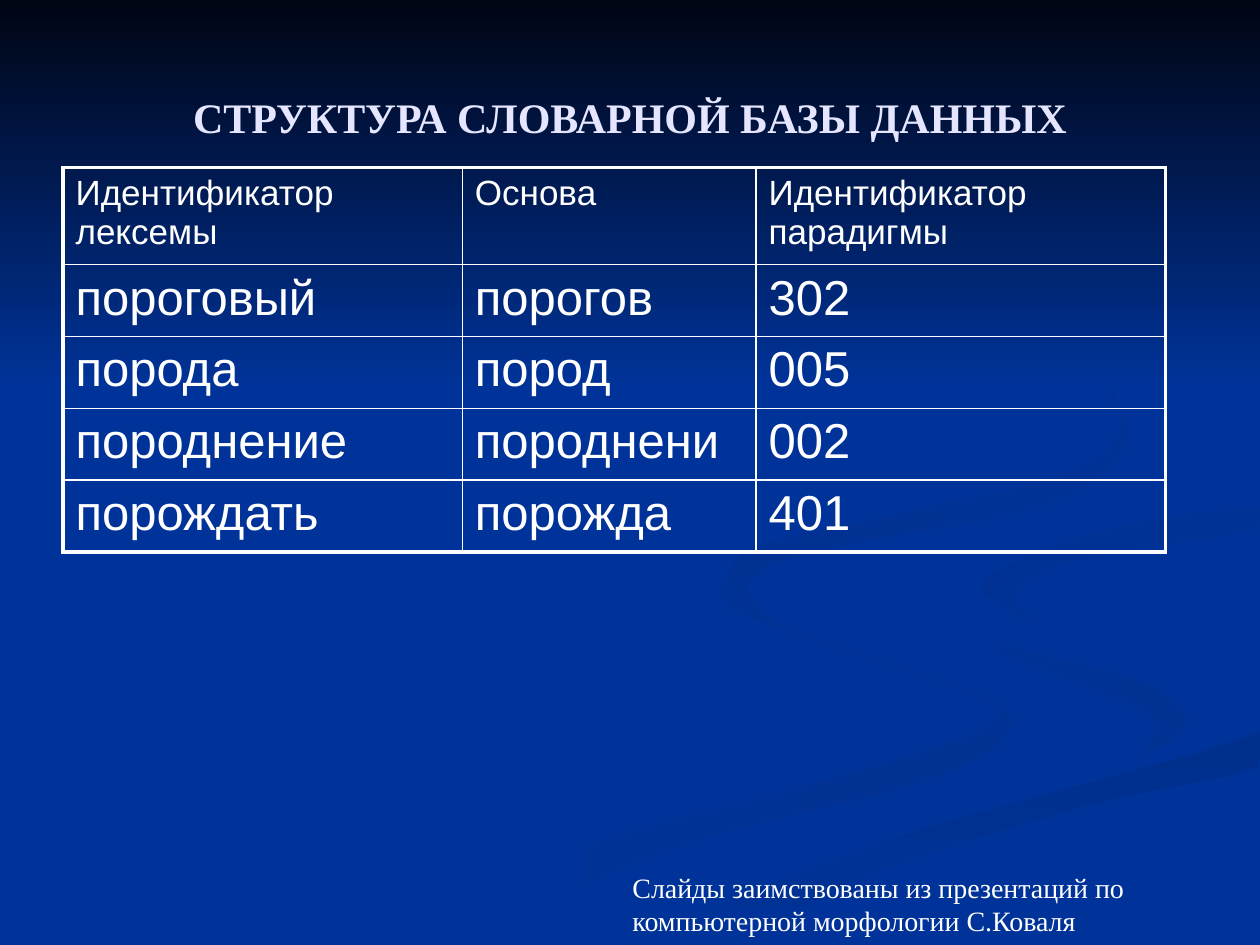
from lxml.etree import SubElement
from pptx import Presentation
from pptx.dml.color import RGBColor
from pptx.enum.shapes import MSO_SHAPE
from pptx.enum.text import MSO_ANCHOR, PP_ALIGN
from pptx.oxml.ns import qn
from pptx.util import Cm, Pt

HEADING = "СТРУКТУРА СЛОВАРНОЙ БАЗЫ ДАННЫХ"
CREDIT = "Слайды заимствованы из презентаций по компьютерной морфологии С.Коваля"
ENTRIES = [
    ("Идентификатор лексемы", "Основа", "Идентификатор парадигмы"),
    ("пороговый", "порогов", "302"),
    ("порода", "пород", "005"),
    ("породнение", "породнени", "002"),
    ("порождать", "порожда", "401"),
]
COLUMN_WIDTHS = [8.05, 5.92, 8.25]
ROW_HEIGHTS = [1.95] + [1.45] * 4

BLUE, WHITE, LAVENDER = "003399", "FFFFFF", "E5E5FF"
HEADING_FONT = {"name": "Times New Roman", "size": Pt(24), "bold": True}
CREDIT_FONT = {"name": "Times New Roman", "size": Pt(16)}
HEADER_FONT = {"name": "Arial", "size": Pt(20)}
ENTRY_FONT = {"name": "Arial", "size": Pt(28)}
THIN, THICK = Pt(1), Pt(2.25)

RIGHT_EDGE, BOTTOM_EDGE = 1000, 750
RIBBON_UNIT = Cm(0.0254)
CURVE_STEPS = 5
RIBBONS = [
    (BLUE, "003193", 0, [
        (781, 553), (682, 519), (594, 485), (575, 459), (581, 484),
        (679, 519), (776, 553), (780, 579), (652, 620), (458, 674),
        (300, 749), (361, 749), (532, 674), (740, 618), (800, 581)]),
    (BLUE, "003193", 45, [
        (943, 570), (905, 540), (792, 509), (724, 464), (746, 500),
        (838, 536), (911, 567), (911, 593), (894, 605), (932, 589)]),
    ("002F8C", BLUE, 90, [
        (503, 749), (571, 749), (695, 692), (861, 640), (998, 609),
        (998, 581), (867, 620), (696, 669), (569, 719)]),
    (BLUE, BLUE, 0, [
        (725, 464), (793, 509), (905, 540), (943, 570), (892, 605),
        (663, 668), (477, 749), (503, 749), (696, 669), (999, 581),
        (999, 538), (848, 503), (781, 463), (850, 427), (999, 402),
        (999, 387), (808, 417)]),
    ("003091", BLUE, 45, [
        (781, 460), (797, 483), (826, 496), (805, 472), (859, 443),
        (998, 420), (998, 402), (865, 424)]),
    ("002F8E", BLUE, 45, [
        (683, 430), (825, 402), (889, 362), (886, 316), (843, 275),
        (762, 233), (846, 279), (889, 335), (852, 374), (733, 404),
        (605, 433), (577, 462), (590, 484), (622, 500), (593, 470),
        (614, 448)]),
]


def rgb(color):
    return RGBColor.from_string(color)


def smooth(knots):
    outline = []
    count = len(knots)
    for i in range(count):
        quad = [knots[(i + offset) % count] for offset in (-1, 0, 1, 2)]
        for step in range(CURVE_STEPS):
            t = step / CURVE_STEPS
            x, y = (
                b + t / 2 * (c - a + t * (2 * a - 5 * b + 4 * c - d
                                          + t * (3 * b - a - 3 * c + d)))
                for a, b, c, d in zip(*quad))
            outline.append((min(x, RIGHT_EDGE), min(y, BOTTOM_EDGE)))
    return outline


def paint(shape, start, end, clockwise):
    shape.shadow.inherit = False
    shape.line.fill.background()
    if start == end:
        shape.fill.solid()
        shape.fill.fore_color.rgb = rgb(start)
        return
    shape.fill.gradient()
    shape.fill.gradient_angle = -clockwise % 360
    for stop, color, position in zip(shape.fill.gradient_stops, (start, end), (0, 1)):
        stop.color.rgb = rgb(color)
        stop.position = position


def write(frame, text, font_values, color):
    frame.word_wrap = True
    frame.text = text
    font = frame.paragraphs[0].runs[0].font
    for key, value in font_values.items():
        setattr(font, key, value)
    font.color.rgb = rgb(color)


def add_border(cell, side, width):
    line = SubElement(cell._tc.get_or_add_tcPr(), qn(f"a:ln{side}"), w=str(width))
    SubElement(SubElement(line, qn("a:solidFill")), qn("a:srgbClr"), val=WHITE)


def add_backdrop(slide):
    slide.background.fill.solid()
    slide.background.fill.fore_color.rgb = rgb(BLUE)
    for start, end, angle, knots in RIBBONS:
        outline = smooth(knots)
        builder = slide.shapes.build_freeform(*outline[0], scale=RIBBON_UNIT)
        builder.add_line_segments(outline[1:], close=True)
        paint(builder.convert_to_shape(), start, end, angle)
    sky = slide.shapes.add_shape(MSO_SHAPE.RECTANGLE, 0, 0, Cm(25.4), Cm(7.82))
    paint(sky, "000514", BLUE, 90)


def add_heading(slide):
    heading = slide.shapes.title
    slide.shapes._spTree.append(heading._element)
    heading.left, heading.top, heading.width, heading.height = map(
        Cm, (1.27, 0.76, 22.86, 3.18))
    write(heading.text_frame, HEADING, HEADING_FONT, LAVENDER)
    heading.text_frame.vertical_anchor = MSO_ANCHOR.MIDDLE
    heading.text_frame.paragraphs[0].alignment = PP_ALIGN.CENTER


def add_dictionary(slide):
    last_row, last_column = len(ENTRIES) - 1, len(COLUMN_WIDTHS) - 1
    dictionary = slide.shapes.add_table(
        len(ENTRIES), len(COLUMN_WIDTHS), Cm(1.27), Cm(3.38),
        Cm(sum(COLUMN_WIDTHS)), Cm(sum(ROW_HEIGHTS))).table
    dictionary.first_row = dictionary.horz_banding = False
    for column, width in zip(dictionary.columns, COLUMN_WIDTHS):
        column.width = Cm(width)
    for row, height in zip(dictionary.rows, ROW_HEIGHTS):
        row.height = Cm(height)
    for r, entry in enumerate(ENTRIES):
        for c, text in enumerate(entry):
            cell = dictionary.cell(r, c)
            write(cell.text_frame, text, ENTRY_FONT if r else HEADER_FONT, WHITE)
            outer = {"L": c == 0, "R": c == last_column, "T": r == 0, "B": r == last_row}
            for side, is_outer in outer.items():
                add_border(cell, side, THICK if is_outer else THIN)
            cell.fill.background()


def main():
    deck = Presentation()
    deck.slide_width, deck.slide_height = Cm(25.4), Cm(19.05)
    slide = deck.slides.add_slide(deck.slide_layouts[5])
    add_backdrop(slide)
    add_heading(slide)
    add_dictionary(slide)
    credit = slide.shapes.add_textbox(Cm(12.5), Cm(17.42), Cm(12.7), Cm(1.63))
    write(credit.text_frame, CREDIT, CREDIT_FONT, WHITE)
    deck.save("out.pptx")


if __name__ == "__main__":
    main()
